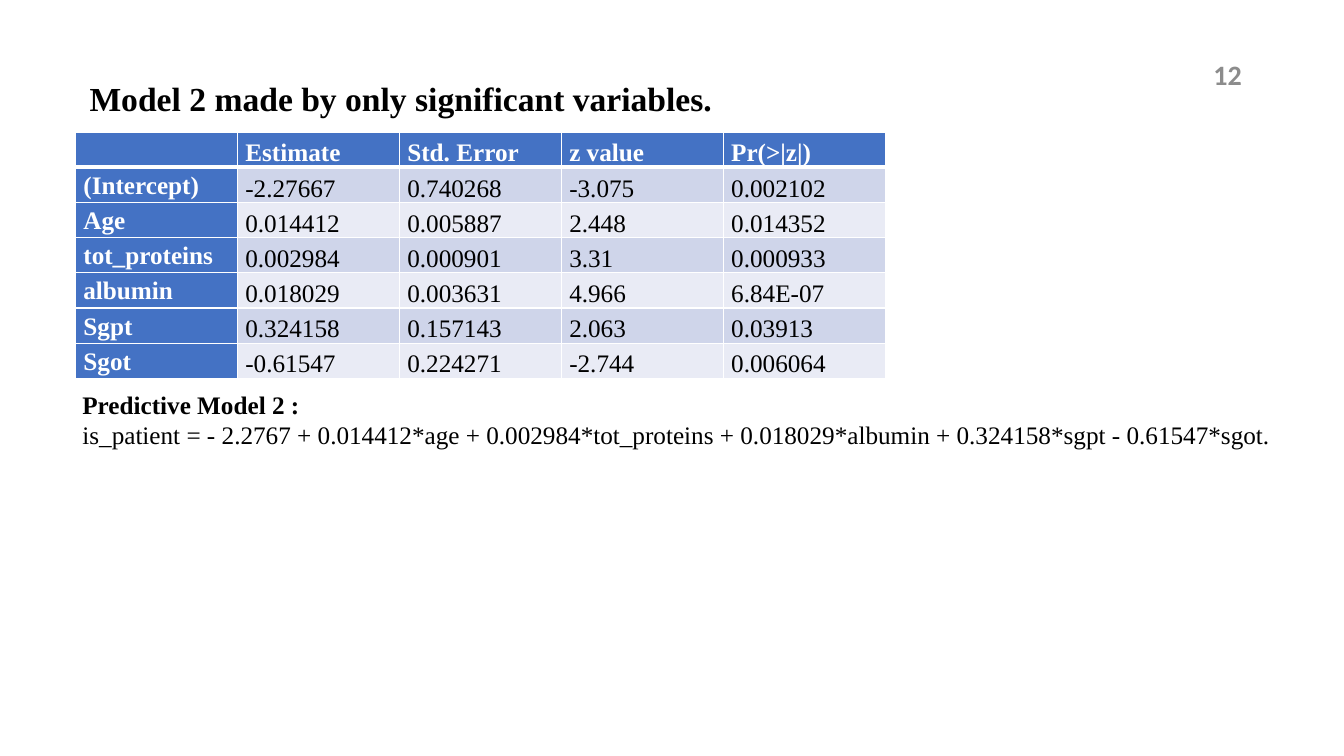
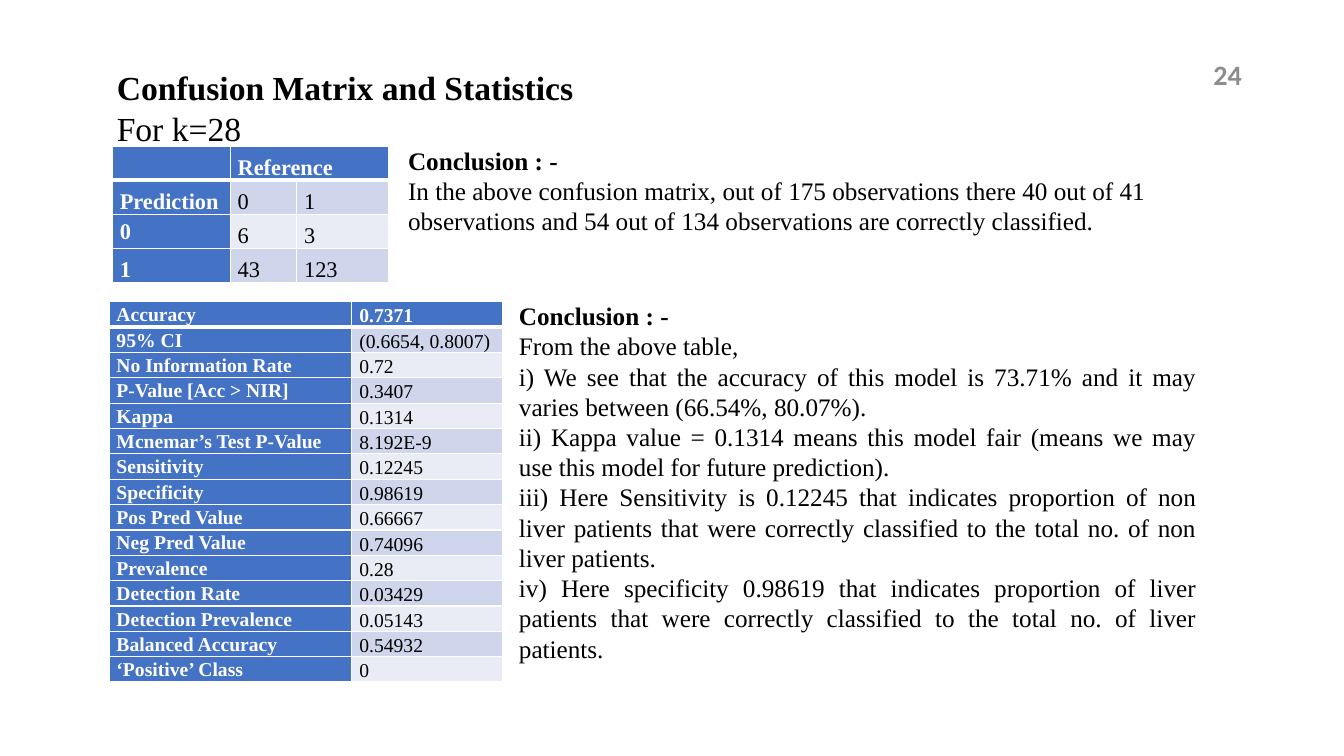
"""Build two slides on a logistic model and a confusion matrix."""
from lxml import etree
from pptx import Presentation
from pptx.dml.color import RGBColor
from pptx.enum import shapes, text
from pptx.oxml import ns
from pptx.util import Pt

THEME = {
    "serif": "Times New Roman", "sans": "Calibri",
    "white": "FFFFFF", "black": "000000", "grey": "8C8C8C",
    "header": "4472C4", "bands": ("CFD5EA", "E9EBF5"),
    "title": 24, "number": 20, "body": 18, "line_spacing": 1.07,
    "rule": 1, "header_rule": 3,
}
LEFT, RIGHT, JUSTIFY = text.PP_ALIGN.LEFT, text.PP_ALIGN.RIGHT, text.PP_ALIGN.JUSTIFY
TOP, MIDDLE, BOTTOM = text.MSO_ANCHOR.TOP, text.MSO_ANCHOR.MIDDLE, text.MSO_ANCHOR.BOTTOM
NUMBER_BOX = (678.2, 38.9, 216, 28.8)

COEFFICIENTS = [
    ("", "Estimate", "Std. Error", "z value", "Pr(>|z|)"),
    ("(Intercept)", "-2.27667", "0.740268", "-3.075", "0.002102"),
    ("Age", "0.014412", "0.005887", "2.448", "0.014352"),
    ("tot_proteins", "0.002984", "0.000901", "3.31", "0.000933"),
    ("albumin", "0.018029", "0.003631", "4.966", "6.84E-07"),
    ("Sgpt", "0.324158", "0.157143", "2.063", "0.03913"),
    ("Sgot", "-0.61547", "0.224271", "-2.744", "0.006064"),
]
CONFUSION = [
    ("", "Reference", ""),
    ("Prediction", "0", "1"),
    ("0", "6", "3"),
    ("1", "43", "123"),
]
STATISTICS = [
    ("Accuracy", "0.7371"),
    ("95% CI", "(0.6654, 0.8007)"),
    ("No Information Rate", "0.72"),
    ("P-Value [Acc > NIR]", "0.3407"),
    ("Kappa", "0.1314"),
    ("Mcnemar’s Test P-Value", "8.192E-9"),
    ("Sensitivity", "0.12245"),
    ("Specificity", "0.98619"),
    ("Pos Pred Value", "0.66667"),
    ("Neg Pred Value", "0.74096"),
    ("Prevalence", "0.28"),
    ("Detection Rate", "0.03429"),
    ("Detection Prevalence", "0.05143"),
    ("Balanced Accuracy", "0.54932"),
    ("‘Positive’ Class", "0"),
]
SLIDES = [
    {
        "number": "12",
        "tables": [
            {"rows": COEFFICIENTS, "at": (54.2, 94.4), "columns": [115.7] * 5,
             "row_height": 25.12, "size": 18},
        ],
        "texts": [
            {"box": (56.9, 50.4, 706, 36.7), "size": THEME["title"], "spacing": THEME["line_spacing"],
             "lines": ["Model 2 made by only significant variables."]},
            {"box": (51.8, 274.3, 873.4, 51),
             "lines": [
                 "Predictive Model 2 :",
                 "is_patient = - 2.2767 + 0.014412*age + 0.002984*tot_proteins"
                 " + 0.018029*albumin + 0.324158*sgpt - 0.61547*sgot.",
             ]},
        ],
    },
    {
        "number": "24",
        "tables": [
            {"rows": CONFUSION, "at": (80.2, 104.4), "columns": [84.2, 47.5, 65.5],
             "row_height": 24.3, "size": 16, "header_span": (1, 2), "low_labels": ("Prediction", "1")},
            {"rows": STATISTICS, "at": (77.8, 215.5), "columns": [173.5, 108],
             "row_height": 18.14, "size": 14},
        ],
        "texts": [
            {"box": (76.3, 44.6, 480, 65.5), "size": THEME["title"],
             "lines": ["Confusion Matrix and Statistics", "For k=28"]},
            {"box": (284.4, 98.6, 568, 74), "spacing": THEME["line_spacing"],
             "lines": [
                 "Conclusion : -",
                 "In the above confusion matrix, out of 175 observations there 40 out of 41 "
                 "observations and 54 out of 134 observations are correctly classified.",
             ]},
            {"box": (363.6, 209.5, 498.2, 265.7), "align": JUSTIFY, "anchor": MIDDLE,
             "fill": THEME["white"],
             "lines": [
                 "Conclusion : -",
                 "From the above table,",
                 "i) We see that the accuracy of this model is 73.71% and it may "
                 "varies between (66.54%, 80.07%).",
                 "ii) Kappa value = 0.1314 means this model fair (means we may use this "
                 "model for future prediction).",
                 "iii) Here Sensitivity is 0.12245 that indicates proportion of non liver patients "
                 "that were correctly classified to the total no. of non liver patients.",
                 "iv) Here specificity 0.98619 that indicates proportion of liver patients "
                 "that were correctly classified to the total no. of liver patients.",
             ]},
        ],
    },
]


def assign(target, values):
    """Set each named attribute of the target."""
    for name, value in values.items():
        setattr(target, name, value)


def write(paragraph, words, size, color=THEME["black"], bold=False, face=THEME["serif"]):
    """Add one formatted run to a paragraph."""
    run = paragraph.add_run()
    run.text = words
    assign(run.font, {"name": face, "size": Pt(size), "bold": bold})
    run.font.color.rgb = RGBColor.from_string(color)


def add_text(slide, box, lines, size=THEME["body"], align=LEFT, anchor=TOP,
             spacing=None, fill=None, **font):
    """Add a text block whose first line is bold."""
    place = [Pt(length) for length in box]
    if fill:
        block = slide.shapes.add_shape(shapes.MSO_SHAPE.RECTANGLE, *place)
        block.shadow.inherit = False
        block.fill.solid()
        block.fill.fore_color.rgb = RGBColor.from_string(fill)
        block.line.fill.background()
    else:
        block = slide.shapes.add_textbox(*place)
    frame = block.text_frame
    assign(frame, {"word_wrap": True, "vertical_anchor": anchor})
    if fill:
        frame.margin_bottom = 0
    for index, line in enumerate(lines):
        paragraph = frame.paragraphs[0] if index == 0 else frame.add_paragraph()
        paragraph.alignment = align
        if index == 0 and spacing:
            paragraph.line_spacing = spacing
        write(paragraph, line, size, bold=index == 0, **font)


def add_borders(cell, top, bottom):
    """Draw white rules on the four sides of a cell."""
    properties = cell._tc.get_or_add_tcPr()
    widths = {"lnL": THEME["rule"], "lnR": THEME["rule"], "lnT": top, "lnB": bottom}
    for side, width in widths.items():
        rule = etree.SubElement(properties, ns.qn(f"a:{side}"), w=str(Pt(width)))
        solid = etree.SubElement(rule, ns.qn("a:solidFill"))
        etree.SubElement(solid, ns.qn("a:srgbClr"), val=THEME["white"])


def add_table(slide, rows, at, columns, row_height, size, header_span=None, low_labels=()):
    """Add a banded table with a header row and a label column."""
    left, top = at
    table = slide.shapes.add_table(
        len(rows), len(columns), Pt(left), Pt(top),
        Pt(sum(columns)), Pt(row_height * len(rows))).table
    for column, width in zip(table.columns, columns):
        column.width = Pt(width)
    for r, values in enumerate(rows):
        table.rows[r].height = Pt(row_height)
        for c, value in enumerate(values):
            cell = table.cell(r, c)
            heading = r == 0 or c == 0
            centred = c == 0 and value not in low_labels
            assign(cell, {
                "margin_left": Pt(5.4), "margin_right": Pt(5.4),
                "margin_top": 0, "margin_bottom": 0,
                "vertical_anchor": MIDDLE if centred else BOTTOM,
            })
            add_borders(cell,
                        THEME["header_rule"] if r == 1 else THEME["rule"],
                        THEME["header_rule"] if r == 0 else THEME["rule"])
            cell.fill.solid()
            band = THEME["header"] if heading else THEME["bands"][(r - 1) % 2]
            cell.fill.fore_color.rgb = RGBColor.from_string(band)
            if value:
                paragraph = cell.text_frame.paragraphs[0]
                assign(paragraph, {"alignment": JUSTIFY, "line_spacing": THEME["line_spacing"]})
                write(paragraph, value, size, THEME["white" if heading else "black"], heading)
    if header_span:
        first, last = header_span
        table.cell(0, first).merge(table.cell(0, last))


def main():
    """Build and save the presentation."""
    deck = Presentation()
    assign(deck, {"slide_width": Pt(960), "slide_height": Pt(540)})
    for content in SLIDES:
        slide = deck.slides.add_slide(deck.slide_layouts[6])
        for table in content["tables"]:
            add_table(slide, **table)
        for block in content["texts"]:
            add_text(slide, **block)
        add_text(slide, NUMBER_BOX, [content["number"]], THEME["number"], RIGHT, MIDDLE,
                 color=THEME["grey"], face=THEME["sans"])
    deck.save("out.pptx")


if __name__ == "__main__":
    main()
